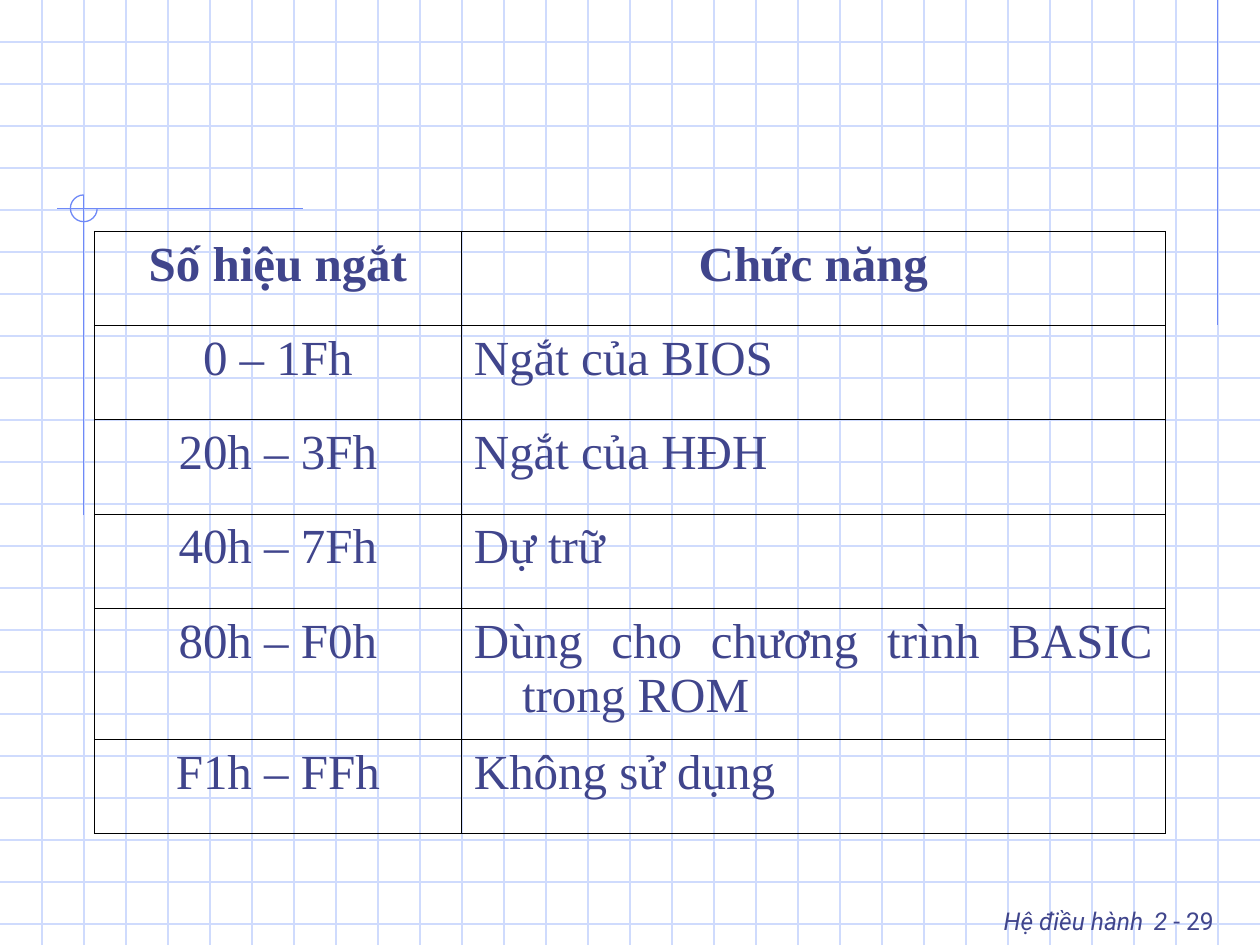
from lxml.etree import SubElement
from pptx import Presentation
from pptx.dml.color import RGBColor
from pptx.enum.shapes import MSO_CONNECTOR, MSO_SHAPE
from pptx.enum.text import PP_ALIGN
from pptx.oxml import parse_xml
from pptx.oxml.ns import nsdecls, qn
from pptx.util import Cm, Pt

COLORS = {"grid": "CFDBFD", "accent": "6F89F7", "text": "40458C", "border": "000000"}
WIDTH, HEIGHT = 25.4, 19.05
GRID_COLUMNS = 30
INTERRUPTS = [
    ("Số hiệu ngắt", "Chức năng"),
    ("0 – 1Fh", "Ngắt của BIOS"),
    ("20h – 3Fh", "Ngắt của HĐH"),
    ("40h – 7Fh", "Dự trữ"),
    ("80h – F0h", "Dùng cho chương trình BASIC trong ROM"),
    ("F1h – FFh", "Không sử dụng"),
]


class SlideBuilder:
    """Holds the style and the slide; all lengths are in centimetres."""

    line_width = Pt(0.75)
    border_width = Pt(0.45)
    hanging = Cm(0.97)

    def __init__(self, slide):
        self.slide = slide

    def style_run(self, run, font, size, bold=False, italic=False):
        run.font.name = font
        run.font.size = Pt(size)
        run.font.bold = bold
        run.font.italic = italic
        run.font.color.rgb = RGBColor.from_string(COLORS["text"])

    def style_line(self, line, color):
        line.color.rgb = RGBColor.from_string(COLORS[color])
        line.width = self.line_width

    def line(self, x1, y1, x2, y2, color):
        connector = self.slide.shapes.add_connector(
            MSO_CONNECTOR.STRAIGHT, Cm(x1), Cm(y1), Cm(x2), Cm(y2))
        self.style_line(connector.line, color)
        SubElement(connector._element.spPr, qn("a:effectLst"))

    def grid(self):
        step = WIDTH / GRID_COLUMNS
        for row in range(1, int(HEIGHT / step) + 1):
            self.line(0, row * step, WIDTH, row * step, "grid")
        for column in range(1, GRID_COLUMNS):
            self.line(column * step, 0, column * step, HEIGHT, "grid")

    def three_quarter_circle(self, x, y, diameter):
        """Draw an arc that is open at its upper right."""
        arc = self.slide.shapes.add_shape(
            MSO_SHAPE.ARC, Cm(x), Cm(y), Cm(diameter), Cm(diameter))
        arc.shadow.inherit = False
        arc.fill.background()
        self.style_line(arc.line, "accent")
        # Angles are stored in 1/60000 degree, adjustments in units of 100000.
        arc.adjustments[0] = 0
        arc.adjustments[1] = 270 * 0.6

    def footer(self, x, y, width, height, parts):
        """Write right-aligned runs given as (text, size, italic)."""
        frame = self.slide.shapes.add_textbox(
            Cm(x), Cm(y), Cm(width), Cm(height)).text_frame
        frame.word_wrap = True
        paragraph = frame.paragraphs[0]
        paragraph.alignment = PP_ALIGN.RIGHT
        for text, size, italic in parts:
            run = paragraph.add_run()
            run.text = text
            self.style_run(run, "Roboto", size, italic=italic)

    def border(self, cell):
        properties = cell._tc.get_or_add_tcPr()
        for index, side in enumerate("LRTB"):
            properties.insert(index, parse_xml(
                f'<a:ln{side} {nsdecls("a")} w="{self.border_width}"><a:solidFill>'
                f'<a:srgbClr val="{COLORS["border"]}"/></a:solidFill></a:ln{side}>'))

    def cell(self, cell, text, alignment, bold):
        cell.text_frame.text = text
        paragraph = cell.text_frame.paragraphs[0]
        paragraph.alignment = alignment
        properties = paragraph._p.get_or_add_pPr()
        properties.set("marL", str(self.hanging))
        properties.set("indent", str(-self.hanging))
        self.style_run(paragraph.runs[0], "Times New Roman", 28, bold=bold)
        cell.fill.background()
        self.border(cell)

    def table(self, x, y, column_widths, row_heights, rows):
        table = self.slide.shapes.add_table(
            len(rows), len(column_widths), Cm(x), Cm(y),
            Cm(sum(column_widths)), Cm(sum(row_heights))).table
        table.first_row = table.horz_banding = False
        for column, width in zip(table.columns, column_widths):
            column.width = Cm(width)
        for r, (height, texts) in enumerate(zip(row_heights, rows)):
            table.rows[r].height = Cm(height)
            for c, text in enumerate(texts):
                centred = r == 0 or c == 0
                alignment = PP_ALIGN.CENTER if centred else PP_ALIGN.JUSTIFY
                self.cell(table.cell(r, c), text, alignment, bold=r == 0)


def main():
    presentation = Presentation()
    presentation.slide_width, presentation.slide_height = Cm(WIDTH), Cm(HEIGHT)
    builder = SlideBuilder(presentation.slides.add_slide(presentation.slide_layouts[6]))

    builder.grid()
    builder.line(24.55, 0, 24.55, 6.55, "accent")
    builder.line(6.1, 4.2, 1.15, 4.2, "accent")
    builder.line(1.69, 3.93, 1.69, 10.39, "accent")
    builder.three_quarter_circle(1.42, 3.93, 0.54)
    builder.footer(17.35, 17.78, 7.37, 1.27, [
        ("Hệ điều hành", 14, True), (" ", 24, False),
        ("2", 14, True), (" - 29", 14, False)])
    builder.table(1.9, 4.66, [7.4, 14.19],
                  [1.9, 1.9, 1.9, 1.9, 2.64, 1.9], INTERRUPTS)

    presentation.save("out.pptx")


if __name__ == "__main__":
    main()
